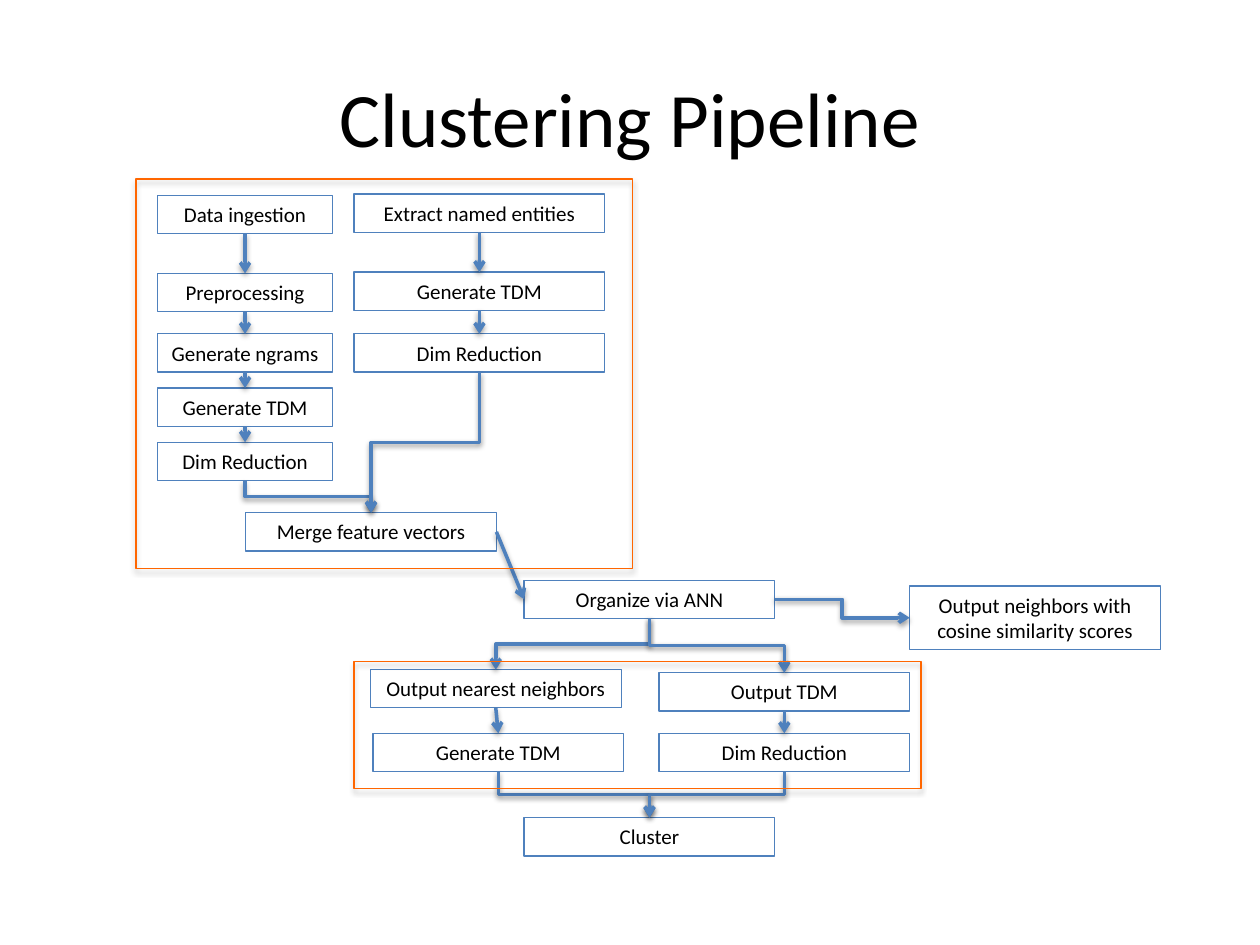
from itertools import pairwise

from lxml import etree
from pptx import Presentation
from pptx.dml.color import RGBColor
from pptx.enum.shapes import MSO_CONNECTOR, MSO_SHAPE
from pptx.enum.text import MSO_ANCHOR, MSO_AUTO_SIZE, PP_ALIGN
from pptx.oxml.ns import qn
from pptx.util import Inches, Pt

LINE, ELBOW = MSO_CONNECTOR.STRAIGHT, MSO_CONNECTOR.ELBOW
RECT = MSO_SHAPE.RECTANGLE
MIDDLE = MSO_ANCHOR.MIDDLE
GROW = MSO_AUTO_SIZE.SHAPE_TO_FIT_TEXT
CENTER = PP_ALIGN.CENTER
TOP, LEFT, BOTTOM, RIGHT = range(4)

COLS, ROWS = 100, 75
SLIM, WIDE = 13.9, 19.9
HEX = {"ink": "000000", "blue": "4F81BD", "orange": "FF6600"}


class Deck:
    """Holds the style and the current slide, and draws on a grid of tenths of an inch."""

    def __init__(self):
        self.prs = Presentation()
        self.prs.slide_width, self.prs.slide_height = Inches(10), Inches(7.5)
        self.slide = self.prs.slides.add_slide(self.prs.slide_layouts[5])
        self.shapes = self.slide.shapes
        self.font = "Calibri"

    def area(self, x, y, w, h):
        """Turn columns and rows into slide lengths."""
        wide, high = self.prs.slide_width / COLS, self.prs.slide_height / ROWS
        return int(x * wide), int(y * high), int(w * wide), int(h * high)

    def label(self, frame, text, size):
        """Put one centred run into a text frame."""
        para = frame.paragraphs[0]
        para.alignment = CENTER
        run = para.add_run()
        run.text = text
        run.font.name, run.font.size = self.font, Pt(size)
        run.font.color.rgb = RGBColor.from_string(HEX["ink"])

    def stroke(self, item, hue, width):
        """Set the line colour and width."""
        item.line.color.rgb = RGBColor.from_string(HEX[hue])
        item.line.width = Pt(width)

    def shade(self, item, dist, alpha):
        """Give a shape or connector a soft shadow below it."""
        group = etree.SubElement(item._element.spPr, qn("a:effectLst"))
        cast = etree.SubElement(group, qn("a:outerShdw"), blurRad=str(Pt(3.1)),
                                dist=str(Pt(dist)), dir="5400000", rotWithShape="0")
        tint = etree.SubElement(cast, qn("a:srgbClr"), val=HEX["ink"])
        etree.SubElement(tint, qn("a:alpha"), val=str(alpha * 1000))

    def title(self, text):
        """Fill and place the title."""
        head = self.shapes.title
        head.left, head.top, head.width, head.height = self.area(5, 3, 90, 12.5)
        head.text_frame.vertical_anchor = MIDDLE
        self.label(head.text_frame, text, 44)

    def box(self, x, y, text, w=WIDE, h=3.03):
        """Draw one outlined step."""
        box = self.shapes.add_textbox(*self.area(x, y, w, h))
        box.text_frame.word_wrap = True
        box.text_frame.auto_size = GROW
        self.stroke(box, "blue", 0.75)
        self.label(box.text_frame, text, 12)
        return box

    def chain(self, steps, w=WIDE):
        """Draw steps from top to bottom with arrows between them."""
        boxes = [self.box(x, y, text, w) for x, y, text in steps]
        for start, end in pairwise(boxes):
            self.link(start, end)
        return boxes

    def link(self, start, end, out=BOTTOM, into=TOP, kind=LINE):
        """Connect two steps with an arrow."""
        arrow = self.shapes.add_connector(kind, 0, 0, 0, 0)
        arrow.begin_connect(start, out)
        arrow.end_connect(end, into)
        if kind == ELBOW and out == BOTTOM:
            self.turn(arrow)
        self.stroke(arrow, "blue", 2)
        line = arrow._element.spPr.find(qn("a:ln"))
        etree.SubElement(line, qn("a:tailEnd"), type="arrow")
        self.shade(arrow, 1.6, 38)

    def turn(self, arrow):
        """Rotate an elbow so that it leaves its step downwards."""
        x, y, w, h = arrow.left, arrow.top, arrow.width, arrow.height
        right = arrow.end_x > arrow.begin_x
        arrow.left, arrow.top = x + (w - h) // 2, y + (h - w) // 2
        arrow.width, arrow.height = h, w
        frame = arrow._element.spPr.find(qn("a:xfrm"))
        for flip in ("flipH", "flipV"):
            frame.attrib.pop(flip, None)
        frame.set("rot", str((270 if right else 90) * 60000))
        if right:
            frame.set("flipH", "1")

    def frame(self, x, y, w, h):
        """Outline a group of steps."""
        frame = self.shapes.add_shape(RECT, *self.area(x, y, w, h))
        frame.fill.background()
        self.stroke(frame, "orange", 0.75)
        self.shade(frame, 1.8, 35)


def main():
    deck = Deck()
    deck.title("Clustering Pipeline")

    words = deck.chain([(12.5, 15.5, "Data ingestion"), (12.5, 21.7, "Preprocessing"),
                        (12.5, 26.5, "Generate ngrams"), (12.5, 30.8, "Generate TDM"),
                        (12.5, 35.1, "Dim Reduction")], SLIM)
    names = deck.chain([(28.1, 15.4, "Extract named entities"),
                        (28.1, 21.6, "Generate TDM"), (28.1, 26.5, "Dim Reduction")])
    merge = deck.box(19.5, 40.7, "Merge feature vectors")
    hub = deck.box(41.6, 46.05, "Organize via ANN")
    scores = deck.box(72.2, 46.5, "Output neighbors with cosine similarity scores", h=5.05)
    near = deck.chain([(29.4, 53.15, "Output nearest neighbors"),
                       (29.6, 58.2, "Generate TDM")])
    terms = deck.chain([(52.3, 53.4, "Output TDM"), (52.3, 58.2, "Dim Reduction")])
    final = deck.box(41.6, 64.9, "Cluster")

    deck.link(merge, hub, RIGHT, LEFT)
    deck.link(hub, scores, RIGHT, LEFT, ELBOW)
    for start, end in ((words[-1], merge), (names[-1], merge), (hub, near[0]),
                       (hub, terms[0]), (near[-1], final), (terms[-1], final)):
        deck.link(start, end, kind=ELBOW)

    deck.frame(10.8, 14.2, 39.4, 30.9)
    deck.frame(28.1, 52.5, 45, 10.1)
    deck.prs.save("out.pptx")


if __name__ == "__main__":
    main()
